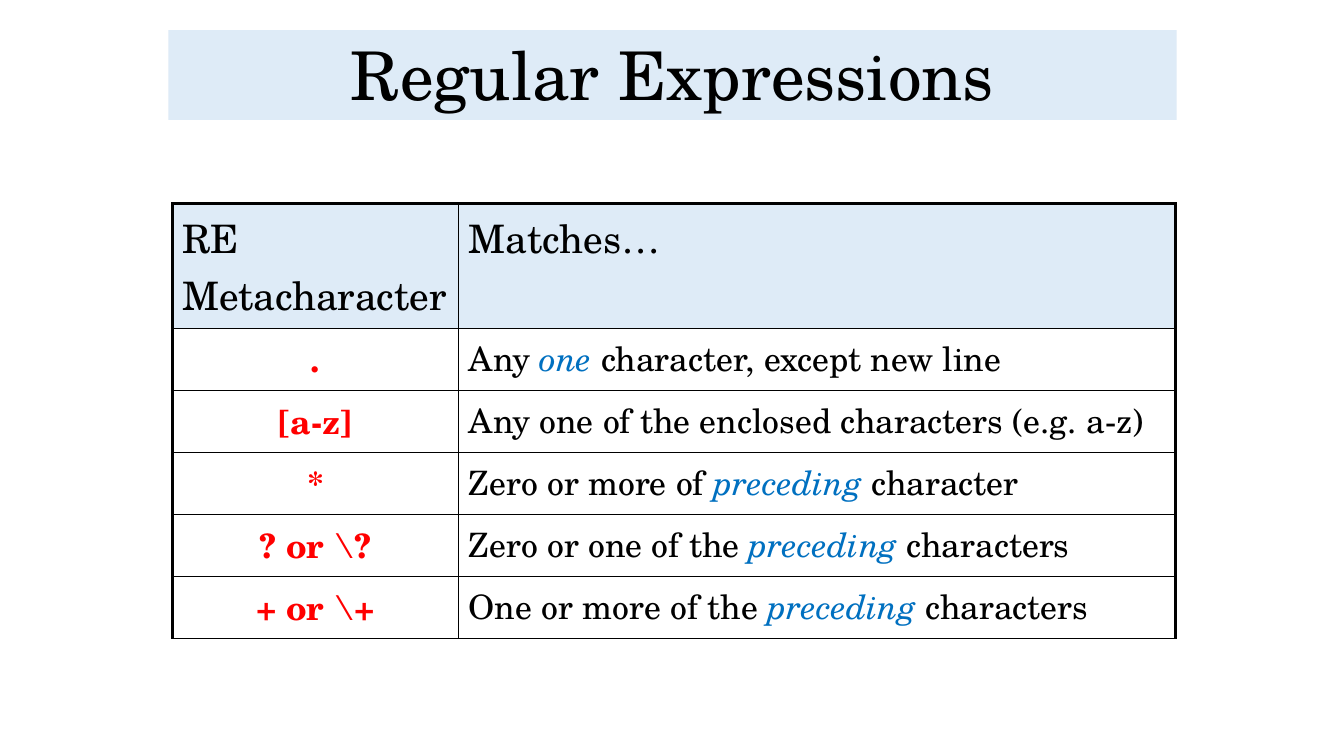
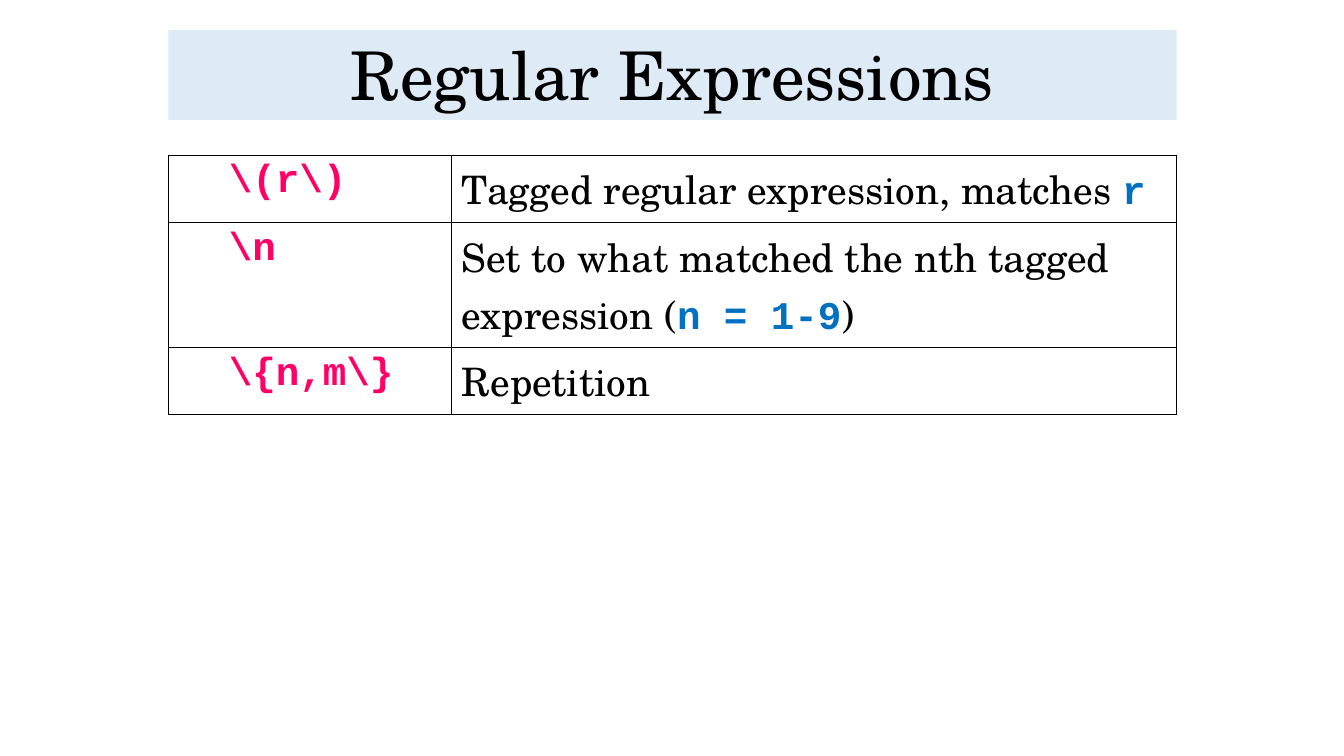
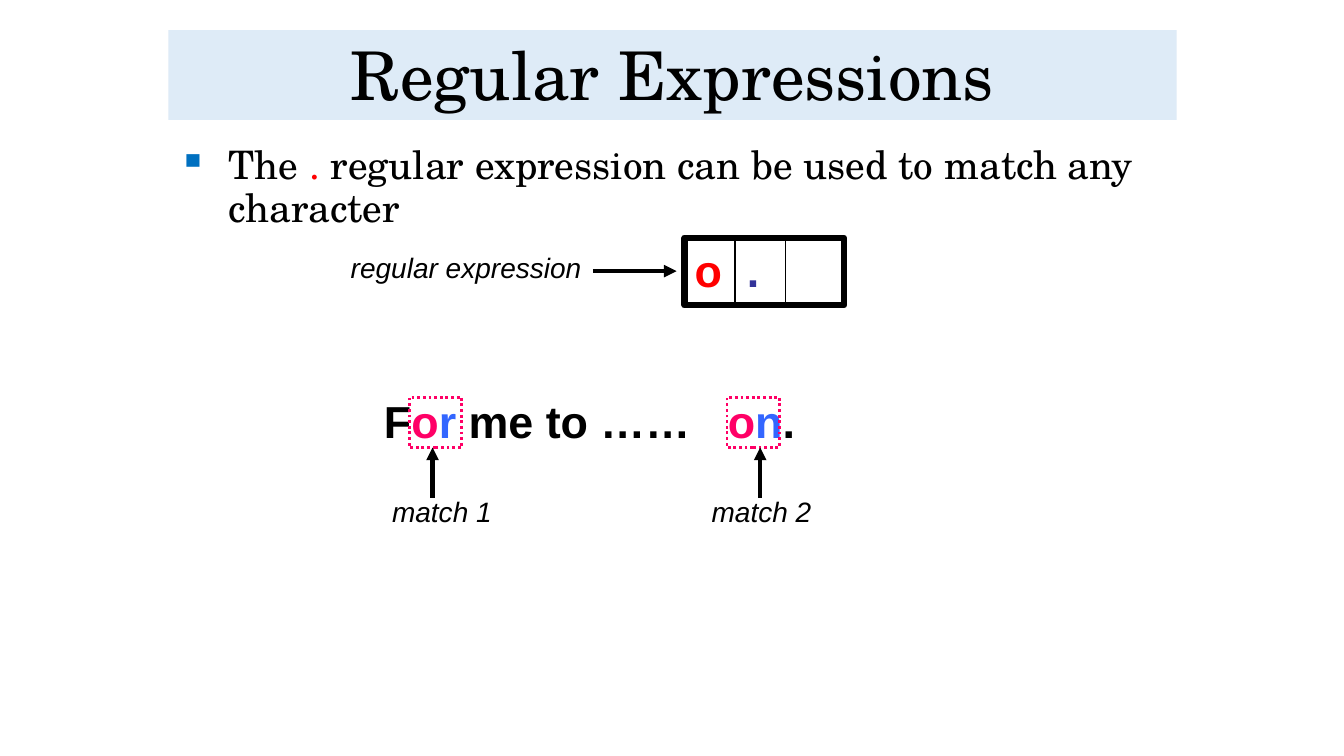
from lxml.etree import SubElement
from pptx import Presentation
from pptx.dml.color import RGBColor
from pptx.enum.dml import MSO_LINE
from pptx.enum.shapes import MSO_CONNECTOR, MSO_SHAPE
from pptx.enum.text import MSO_ANCHOR, MSO_AUTO_SIZE, PP_ALIGN
from pptx.oxml.ns import qn
from pptx.util import Inches, Pt

BLACK = RGBColor(0x00, 0x00, 0x00)
RED = RGBColor(0xFF, 0x00, 0x00)
PINK = RGBColor(0xFF, 0x00, 0x66)
BLUE = RGBColor(0x00, 0x70, 0xC0)
LETTER_BLUE = RGBColor(0x33, 0x66, 0xFF)
INDIGO = RGBColor(0x33, 0x33, 0x99)
PALE_BLUE = RGBColor(0xDE, 0xEB, 0xF7)

SERIF, SANS, MONO = "TeX Gyre Schola", "Arial", "Courier New"
TITLE = "Regular Expressions"
TITLE_AREA = (1.67, 0.3, 10, 0.89)


def font_style(name, size, color, bold=False, italic=False):
    return {"name": name, "size": Pt(size), "bold": bold, "italic": italic, "color": color}


HEADING = font_style(SERIF, 48, BLACK)
LARGE = font_style(SERIF, 28, BLACK)
LARGE_RED = font_style(SERIF, 28, RED)
PLAIN = font_style(SERIF, 24, BLACK)
EMPHASIS = font_style(SERIF, 24, BLUE, italic=True)
METACHARACTER = font_style(SERIF, 24, RED, bold=True)
CODE = font_style(MONO, 28, PINK, bold=True)
CODE_BLUE = font_style(MONO, 28, BLUE, bold=True)
LABEL = font_style(SANS, 20, BLACK, italic=True)
SAMPLE, SAMPLE_RED, SAMPLE_PINK, SAMPLE_BLUE, SAMPLE_INDIGO = (
    font_style(SANS, 32, color, bold=True)
    for color in (BLACK, RED, PINK, LETTER_BLUE, INDIGO))

METACHARACTER_ROWS = [
    ([("RE Metacharacter", LARGE)], [("Matches…", LARGE)]),
    ([(".", METACHARACTER)],
     [("Any ", PLAIN), ("one ", EMPHASIS), ("character, except new line", PLAIN)]),
    ([("[a-z]", METACHARACTER)],
     [("Any one of the enclosed characters (e.g. a-z)", PLAIN)]),
    ([("*", METACHARACTER)],
     [("Zero or more of ", PLAIN), ("preceding ", EMPHASIS), ("character", PLAIN)]),
    ([("? or \\?", METACHARACTER)],
     [("Zero or one of the ", PLAIN), ("preceding", EMPHASIS), (" characters", PLAIN)]),
    ([("+ or \\+", METACHARACTER)],
     [("One or more of the ", PLAIN), ("preceding", EMPHASIS), (" characters", PLAIN)]),
]
TAGGED_ROWS = [
    ([("\\(r\\)", CODE)],
     [("Tagged regular expression, matches ", LARGE), ("r", CODE_BLUE)]),
    ([("\\n", CODE)],
     [("Set to what matched the nth tagged expression (", LARGE),
      ("n = 1-9", CODE_BLUE), (")", LARGE)]),
    ([("\\{n,m\\}", CODE)], [("Repetition", LARGE)]),
]
DOT_RULE = [("The ", LARGE), (". ", LARGE_RED),
            ("regular expression can be used to match any character", LARGE)]
PATTERN = [("o\t", SAMPLE_RED), (".", SAMPLE_INDIGO)]
SENTENCE = [("F", SAMPLE), ("o", SAMPLE_PINK), ("r", SAMPLE_BLUE), (" me to ……\t", SAMPLE),
            ("o", SAMPLE_PINK), ("n", SAMPLE_BLUE), (".", SAMPLE)]
# Label, left of label, left of dotted frame, x of arrow
MATCHES = [("match 1", 3.79, 4.06, 4.29), ("match 2", 6.96, 7.21, 7.54)]


def inches(values):
    return [Inches(value) for value in values]


def write_runs(paragraph, runs):
    for text, style in runs:
        run = paragraph.add_run()
        run.text = text
        for attribute, value in style.items():
            if attribute == "color":
                run.font.color.rgb = value
            else:
                setattr(run.font, attribute, value)


def add_titled_slide(deck):
    slide = deck.slides.add_slide(deck.slide_layouts[5])
    title = slide.shapes.title
    title.left, title.top, title.width, title.height = inches(TITLE_AREA)
    title.fill.solid()
    title.fill.fore_color.rgb = PALE_BLUE
    frame = title.text_frame
    frame.auto_size = MSO_AUTO_SIZE.NONE
    frame.vertical_anchor = MSO_ANCHOR.BOTTOM
    paragraph = frame.paragraphs[0]
    paragraph.alignment = PP_ALIGN.CENTER
    paragraph.line_spacing = 0.9
    write_runs(paragraph, [(TITLE, HEADING)])
    return slide


def set_borders(cell, widths):
    """Draw black cell borders; widths gives points for left, right, top, bottom."""
    properties = cell._tc.get_or_add_tcPr()
    for position, (side, width) in enumerate(zip(("lnL", "lnR", "lnT", "lnB"), widths)):
        border = properties.makeelement(qn(f"a:{side}"), {"w": str(Pt(width))})
        fill = SubElement(border, qn("a:solidFill"))
        SubElement(fill, qn("a:srgbClr"), val=str(BLACK))
        properties.insert(position, border)


def add_text_table(slide, rows, corner, widths, heights, outer=1, header=False):
    """Add a two-column table and return it; outer is the left, top and right line width."""
    area = inches((*corner, sum(widths), sum(heights)))
    table = slide.shapes.add_table(len(rows), len(widths), *area).table
    table.first_row = table.horz_banding = False
    for column, width in zip(table.columns, widths):
        column.width = Inches(width)
    for row_index, (row, height) in enumerate(zip(rows, heights)):
        table.rows[row_index].height = Inches(height)
        for column_index, runs in enumerate(row):
            cell = table.cell(row_index, column_index)
            if header and row_index == 0:
                cell.fill.solid()
                cell.fill.fore_color.rgb = PALE_BLUE
            else:
                cell.fill.background()
            last_column = column_index == len(widths) - 1
            set_borders(cell, (outer if column_index == 0 else 1,
                               outer if last_column else 1,
                               outer if row_index == 0 else 1, 1))
            write_runs(cell.text_frame.paragraphs[0], runs)
    return table


def first_paragraphs(table, first_row=0):
    """Yield the paragraph of each first-column cell from first_row on."""
    for row_index in range(first_row, len(table.rows)):
        yield table.cell(row_index, 0).text_frame.paragraphs[0]


def add_text(slide, area, runs, wrap=True, tab=None):
    frame = slide.shapes.add_textbox(*inches(area)).text_frame
    frame.word_wrap = wrap
    paragraph = frame.paragraphs[0]
    if tab:
        stops = SubElement(paragraph._p.get_or_add_pPr(), qn("a:tabLst"))
        SubElement(stops, qn("a:tab"), pos=str(Inches(tab)), algn="l")
    write_runs(paragraph, runs)
    return paragraph


def add_bullet(paragraph):
    properties = paragraph._p.get_or_add_pPr()
    properties.set("marL", str(Inches(0.5)))
    properties.set("indent", str(Inches(-0.5)))
    color = SubElement(properties, qn("a:buClr"))
    SubElement(color, qn("a:srgbClr"), val=str(BLUE))
    SubElement(properties, qn("a:buChar"), char="▪")


def add_line(slide, start, end, width, arrow=False):
    line = slide.shapes.add_connector(MSO_CONNECTOR.STRAIGHT, *inches((*start, *end)))
    line.line.color.rgb = BLACK
    line.line.width = Pt(width)
    if arrow:
        SubElement(line.line._get_or_add_ln(), qn("a:tailEnd"), type="triangle")
    SubElement(line._element.spPr, qn("a:effectLst"))


def add_frame(slide, area, color, width, dash=None):
    frame = slide.shapes.add_shape(MSO_SHAPE.RECTANGLE, *inches(area))
    frame.shadow.inherit = False
    frame.fill.background()
    frame.line.color.rgb = color
    frame.line.width = Pt(width)
    if dash:
        frame.line.dash_style = dash


def build_metacharacters(deck):
    table = add_text_table(add_titled_slide(deck), METACHARACTER_ROWS, (1.71, 2.02),
                           (2.84, 7.11), [1.23] + [0.61] * 5, outer=2.25, header=True)
    for paragraph in first_paragraphs(table, first_row=1):
        paragraph.alignment = PP_ALIGN.CENTER


def build_tagged_expressions(deck):
    table = add_text_table(add_titled_slide(deck), TAGGED_ROWS, (1.67, 1.54),
                           (2.81, 7.19), (0.66, 1.23, 0.66))
    for paragraph in first_paragraphs(table):
        paragraph._p.get_or_add_pPr().set("marL", str(Inches(0.5)))


def build_dot_example(deck):
    slide = add_titled_slide(deck)
    rule = add_text(slide, (1.67, 1.4, 10, 0.95), DOT_RULE)
    add_bullet(rule)
    rule.line_spacing = 0.9

    add_text(slide, (3.38, 2.44, 2.51, 0.44), [("regular expression", LABEL)], wrap=False)
    add_line(slide, (5.88, 2.69), (6.71, 2.69), 3, arrow=True)
    left, top, width, height = pattern_area = (6.79, 2.36, 1.58, 0.67)
    add_text(slide, pattern_area, PATTERN, tab=0.52)
    for divider in (left + 0.5, left + 1):
        add_line(slide, (divider, top), (divider, top + height), 0.75)
    add_frame(slide, pattern_area, BLACK, 4.5)

    add_text(slide, (3.71, 3.86, 6.75, 0.63), SENTENCE, tab=3.41)
    for label, label_left, frame_left, arrow_x in MATCHES:
        add_frame(slide, (frame_left, 3.94, 0.52, 0.5), PINK, 2, MSO_LINE.ROUND_DOT)
        add_text(slide, (label_left, 4.86, 1.2, 0.44), [(label, LABEL)], wrap=False)
        add_line(slide, (arrow_x, 4.94), (arrow_x, 4.44), 3, arrow=True)


def main():
    deck = Presentation()
    deck.slide_width, deck.slide_height = inches((13.33, 7.5))
    build_metacharacters(deck)
    build_tagged_expressions(deck)
    build_dot_example(deck)
    deck.save("out.pptx")


if __name__ == "__main__":
    main()
